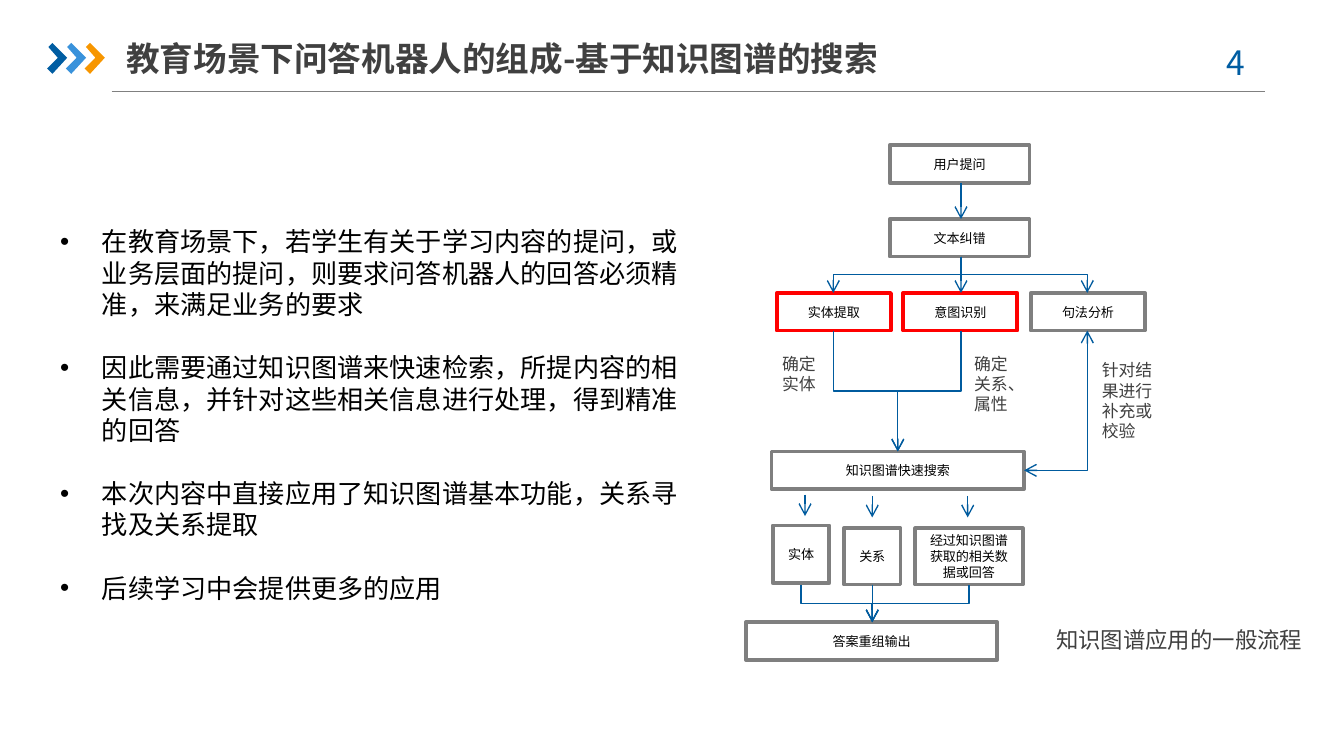
from lxml import etree
from pptx import Presentation
from pptx import util as u
from pptx.dml.color import RGBColor
from pptx.enum import shapes, text
from pptx.oxml import ns

PX = 9144
SLIDE_WIDTH = 1000 * PX
SLIDE_HEIGHT = SLIDE_WIDTH * 9 // 16
NAVY = RGBColor(0x00, 0x5D, 0xA2)
SKY = RGBColor(0x39, 0x92, 0xDB)
ORANGE = RGBColor(0xF7, 0x96, 0x00)
FLOW = RGBColor(0x00, 0x5B, 0x9E)
RULE = RGBColor(0x80, 0x80, 0x80)
GRAY = RGBColor(0x7F, 0x7F, 0x7F)
DARK = RGBColor(0x40, 0x40, 0x40)
RED = RGBColor(0xFF, 0x00, 0x00)
BLACK = RGBColor(0x00, 0x00, 0x00)
WHITE = RGBColor(0xFF, 0xFF, 0xFF)
HEADING, BODY = "Noto Sans CJK SC", "Calibri"

TITLE = "教育场景下问答机器人的组成-基于知识图谱的搜索"
PAGE = "4 "
CAPTION = "知识图谱应用的一般流程"
POINTS = [
    "在教育场景下，若学生有关于学习内容的提问，或业务层面的提问，则要求问答机器人的回答必须精准，来满足业务的要求",
    "因此需要通过知识图谱来快速检索，所提内容的相关信息，并针对这些相关信息进行处理，得到精准的回答",
    "本次内容中直接应用了知识图谱基本功能，关系寻找及关系提取",
    "后续学习中会提供更多的应用",
]
STEPS = [
    ("用户提问", 662, 108, 104, 28, GRAY),
    ("文本纠错", 662, 163, 104, 28, GRAY),
    ("实体提取", 578, 218, 85, 28, RED),
    ("意图识别", 672, 218, 85, 28, RED),
    ("句法分析", 767, 218, 85, 28, GRAY),
    ("知识图谱快速搜索", 574, 336, 188, 28, GRAY),
    ("实体", 575, 391, 42, 43, GRAY),
    ("关系", 628, 393, 42, 42, GRAY),
    ("经过知识图谱获取的相关数据或回答", 681, 393, 80, 42, GRAY),
    ("答案重组输出", 555, 463, 187, 28, GRAY),
]
LABELS = [
    ("确定实体", 572, 258, 48, 40),
    ("确定关系、属性", 715, 258, 48, 55),
    ("针对结果进行补充或校验", 810, 263, 64, 71),
]
ARROWS = [
    (715, 136, 715, 163), (715, 191, 715, 218),
    (599, 368, 599, 384), (649, 369, 649, 385), (720, 369, 720, 385),
]
ELBOWS = [
    (715, 191, 620, 218), (715, 191, 809, 218),
    (620, 246, 668, 336), (715, 246, 668, 336),
    (596, 435, 649, 463), (649, 435, 649, 463), (721, 435, 649, 463),
]
FEEDBACK = (809, 246, 762, 350)
CHEVRON = [(1, 3), (4, 0), (15, 11), (4, 23), (0, 19), (8, 11)]
CHEVRON_COLORS = [NAVY, SKY, ORANGE]

deck = Presentation()
deck.slide_width, deck.slide_height = SLIDE_WIDTH, SLIDE_HEIGHT
slide = deck.slides.add_slide(deck.slide_layouts[6])


def write(paragraph, words, size, font, color, bold=False):
    run = paragraph.add_run()
    run.text = words
    run.font.size = u.Pt(size)
    run.font.name = font
    run.font.bold = bold
    run.font.color.rgb = color


def add_text(words, x, y, w, h, size, color=DARK, bold=False, wrap=True):
    box = slide.shapes.add_textbox(x * PX, y * PX, w * PX, h * PX)
    box.text_frame.word_wrap = wrap
    write(box.text_frame.paragraphs[0], words, size, HEADING, color, bold)
    return box.text_frame


def add_line(x1, y1, x2, y2, color=FLOW, ends=("tailEnd",),
             kind=shapes.MSO_CONNECTOR.STRAIGHT):
    line = slide.shapes.add_connector(kind, *(round(v * PX) for v in (x1, y1, x2, y2)))
    line.line.color.rgb = color
    line.line.width = u.Pt(0.75)
    properties = line._element.spPr
    for end in ends:
        etree.SubElement(properties.find(ns.qn("a:ln")), ns.qn("a:" + end), type="arrow")
    etree.SubElement(properties, ns.qn("a:effectLst"))
    return properties


def add_elbow(x1, y1, x2, y2, ends=("tailEnd",), preset="bentConnector3"):
    length, spread = y2 - y1, abs(x2 - x1)
    left = (x1 + x2 - length) / 2
    top = (y1 + y2 - spread) / 2
    start, stop = (top, top + spread) if x2 < x1 else (top + spread, top)
    properties = add_line(left, start, left + length, stop, ends=ends,
                          kind=shapes.MSO_CONNECTOR.ELBOW)
    properties.find(ns.qn("a:xfrm")).set("rot", "5400000")
    properties.find(ns.qn("a:prstGeom")).set("prst", preset)


def add_step(words, x, y, w, h, border):
    step = slide.shapes.add_shape(shapes.MSO_SHAPE.RECTANGLE, x * PX, y * PX, w * PX, h * PX)
    step.shadow.inherit = False
    step.fill.solid()
    step.fill.fore_color.rgb = WHITE
    step.line.color.rgb = border
    step.line.width = u.Pt(2)
    step.text_frame.word_wrap = True
    step.text_frame.vertical_anchor = text.MSO_ANCHOR.MIDDLE
    paragraph = step.text_frame.paragraphs[0]
    paragraph.alignment = text.PP_ALIGN.CENTER
    write(paragraph, words, 7, BODY, BLACK)


def add_chevron(x, y, color):
    corners = [(x + dx, y + dy) for dx, dy in CHEVRON]
    builder = slide.shapes.build_freeform(*corners[0], scale=PX)
    builder.add_line_segments(corners[1:], close=True)
    chevron = builder.convert_to_shape()
    chevron.shadow.inherit = False
    chevron.fill.solid()
    chevron.fill.fore_color.rgb = color
    chevron.line.fill.background()


def add_points(x, y, w, h):
    frame = slide.shapes.add_textbox(x * PX, y * PX, w * PX, h * PX).text_frame
    frame.word_wrap = True
    for i, point in enumerate(POINTS):
        paragraph = frame.add_paragraph() if i else frame.paragraphs[0]
        paragraph.space_before = u.Pt(17 if i else 0)
        properties = paragraph._p.get_or_add_pPr()
        properties.set("marL", str(31 * PX))
        properties.set("indent", str(-31 * PX))
        etree.SubElement(properties, ns.qn("a:buFont"), typeface="Arial")
        etree.SubElement(properties, ns.qn("a:buChar"), char="•")
        write(paragraph, point, 14, BODY, BLACK)


add_line(83, 68, 941, 68, RULE, ends=())
for i, color in enumerate(CHEVRON_COLORS):
    add_chevron(35 + 14 * i, 32, color)
page = add_text(PAGE, 886, 26, 73, 40, 18, NAVY)
page.paragraphs[0].alignment = text.PP_ALIGN.CENTER
title = add_text(TITLE, 94, 22, 589, 42, 18, bold=True)
title.margin_left = title.margin_right = 0
title.vertical_anchor = text.MSO_ANCHOR.MIDDLE
add_points(35, 163, 490, 293)

for step in STEPS:
    add_step(*step)
for arrow in ARROWS:
    add_line(*arrow)
for elbow in ELBOWS:
    add_elbow(*elbow)
add_elbow(*FEEDBACK, ends=("headEnd", "tailEnd"), preset="bentConnector2")
for label in LABELS:
    add_text(*label, size=9)
add_text(CAPTION, 776, 461, 203, 30, 12, wrap=False)

deck.save("out.pptx")
